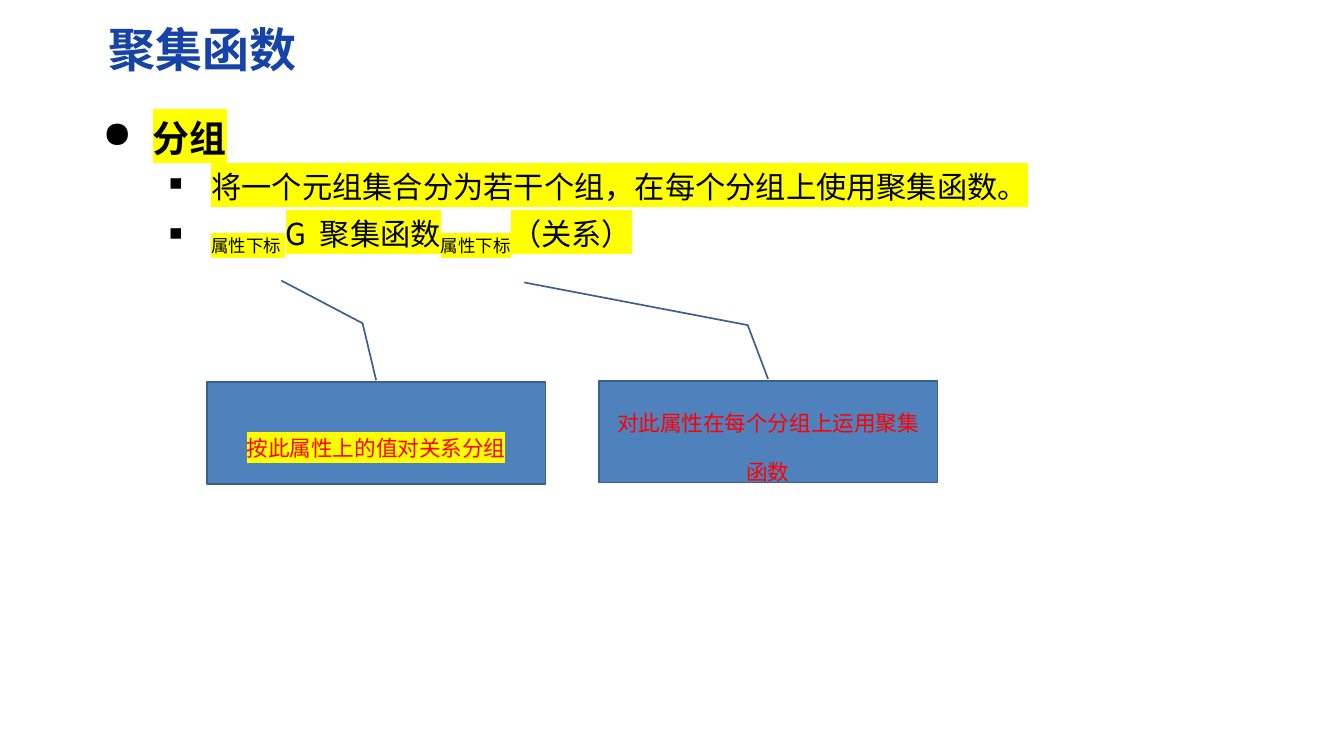
from lxml import etree
from pptx import Presentation
from pptx.dml.color import RGBColor
from pptx.enum.shapes import MSO_SHAPE
from pptx.enum.text import MSO_ANCHOR, PP_ALIGN
from pptx.oxml.ns import qn
from pptx.util import Pt

CALLOUT = MSO_SHAPE.LINE_CALLOUT_2
MIDDLE = MSO_ANCHOR.MIDDLE
TOP = MSO_ANCHOR.TOP
CENTER = PP_ALIGN.CENTER


def color(value):
    return RGBColor.from_string(value)


class SlideBuilder:
    font_name = "Noto Sans CJK SC"
    blue = "1543A6"
    black = "000000"
    red = "FF0000"
    yellow = "FFFF00"
    box_fill = "4F81BD"
    box_line = "3A5F8C"

    def __init__(self, slide):
        self.slide = slide

    def style(self, paragraph, size, font_color, bold=False):
        font = paragraph.font
        font.size = Pt(size)
        font.bold = bold
        font.name = self.font_name
        font.color.rgb = color(font_color)
        east_asian = etree.SubElement(font._element, qn("a:ea"))
        east_asian.set("typeface", self.font_name)

    def run(self, paragraph, text, baseline=0, highlight=False):
        run = paragraph.add_run()
        run.text = text
        properties = run._r.get_or_add_rPr()
        if baseline:
            properties.set("baseline", str(baseline * 1000))
        if highlight:
            mark = etree.SubElement(properties, qn("a:highlight"))
            etree.SubElement(mark, qn("a:srgbClr")).set("val", self.yellow)

    def frame(self, shape, anchor, side, top, bottom):
        frame = shape.text_frame
        frame.word_wrap = True
        frame.vertical_anchor = anchor
        frame.margin_left = frame.margin_right = Pt(side)
        frame.margin_top = Pt(top)
        frame.margin_bottom = Pt(bottom)
        return frame

    def title(self, text, left, top, width, height):
        shape = self.slide.shapes.add_textbox(Pt(left), Pt(top), Pt(width), Pt(height))
        paragraph = self.frame(shape, MIDDLE, 8, 4.3, 4.3).paragraphs[0]
        self.run(paragraph, text)
        self.style(paragraph, 28, self.blue, True)

    def bullet(self, paragraph, character, indent, hanging, percent):
        properties = paragraph._p.get_or_add_pPr()
        properties.set("marL", str(Pt(indent)))
        properties.set("indent", str(-Pt(hanging)))
        etree.SubElement(properties, qn("a:buSzPct")).set("val", str(percent * 1000))
        etree.SubElement(properties, qn("a:buChar")).set("char", character)

    def outline(self, heading, items, left, top, width, height):
        shape = self.slide.shapes.add_textbox(Pt(left), Pt(top), Pt(width), Pt(height))
        frame = self.frame(shape, TOP, 7.2, 8, 3.6)
        paragraph = frame.paragraphs[0]
        self.bullet(paragraph, "●", 30, 30, 100)
        self.run(paragraph, heading, highlight=True)
        self.style(paragraph, 22, self.black, True)
        for space, runs in items:
            paragraph = frame.add_paragraph()
            paragraph.level = 1
            self.bullet(paragraph, "■", 64.8, 25.2, 60)
            paragraph.space_before = Pt(space)
            for text, baseline in runs:
                self.run(paragraph, text, baseline, True)
            self.style(paragraph, 18, self.black)

    def callout(self, text, left, top, width, height, pointer, highlight=False):
        shape = self.slide.shapes.add_shape(CALLOUT, Pt(left), Pt(top), Pt(width), Pt(height))
        for index, value in enumerate(pointer):
            shape.adjustments[index] = value
        shape.shadow.inherit = False
        shape.fill.solid()
        shape.fill.fore_color.rgb = color(self.box_fill)
        shape.line.color.rgb = color(self.box_line)
        shape.line.width = Pt(1)
        paragraph = self.frame(shape, MIDDLE, 7.2, 8, 3.6).paragraphs[0]
        paragraph.alignment = CENTER
        self.run(paragraph, text, -20, highlight)
        self.style(paragraph, 22.2, self.red)


def main():
    presentation = Presentation()
    presentation.slide_width = Pt(800)
    presentation.slide_height = Pt(450)
    builder = SlideBuilder(presentation.slides.add_slide(presentation.slide_layouts[6]))

    builder.title("聚集函数", 56.9, 8.6, 706, 41)
    builder.outline(
        "分组",
        [
            (5, [("将一个元组集合分为若干个组，在每个分组上使用聚集函数。", 0)]),
            (6.6, [("属性下标 ", -25), ("G  聚集函数", 0), ("属性下标", -25), ("（关系）", 0)]),
        ],
        54, 60.5, 708.5, 104.4,
    )
    builder.callout(
        "按此属性上的值对关系分组", 123.1, 227.5, 201.6, 60.5,
        (-0.02, 0.5, -0.58, 0.46, -1, 0.22), True,
    )
    builder.callout(
        "对此属性在每个分组上运用聚集函数", 356.4, 226.8, 201.6, 60.5,
        (-0.02, 0.5, -0.55, 0.44, -0.97, -0.22),
    )
    presentation.save("out.pptx")


if __name__ == "__main__":
    main()
